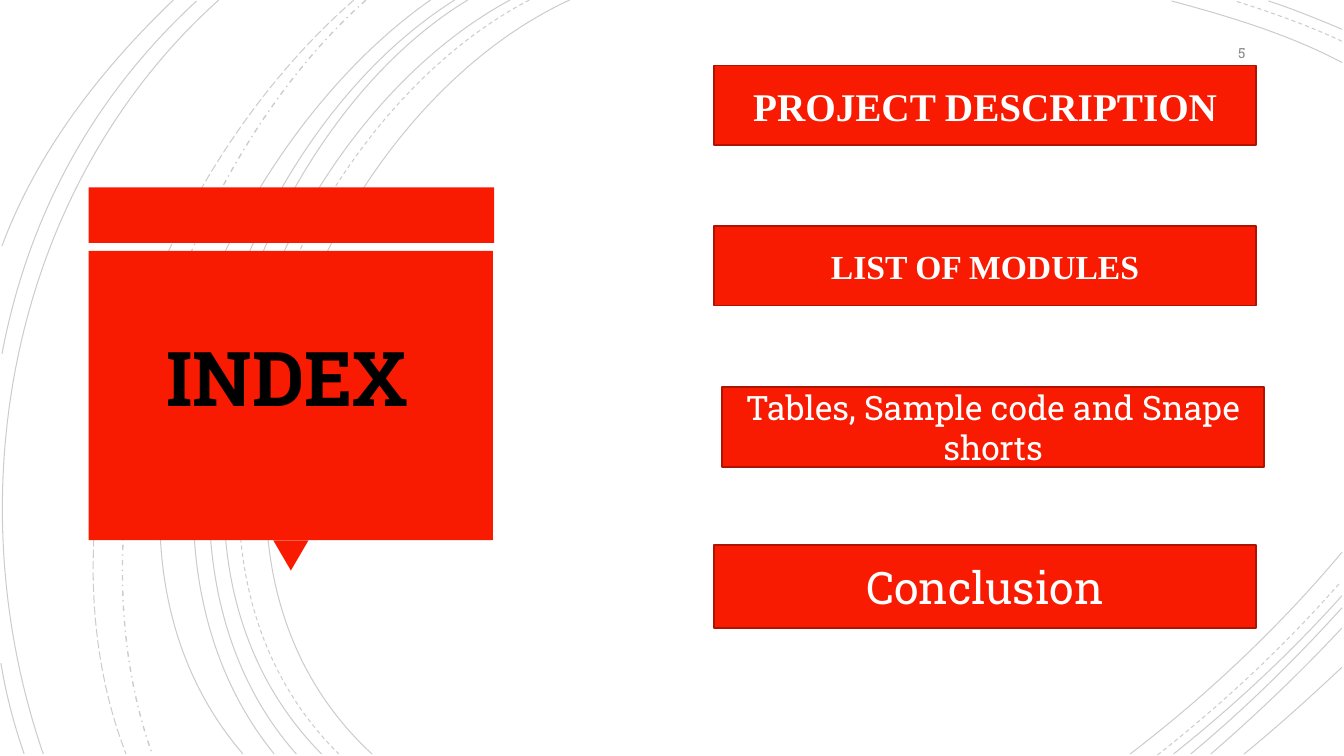
from lxml.etree import SubElement
from pptx import Presentation
from pptx.dml.color import RGBColor
from pptx.enum.dml import MSO_LINE as Dash
from pptx.enum.shapes import MSO_SHAPE as Preset
from pptx.enum.text import MSO_ANCHOR as Anchor, MSO_AUTO_SIZE as AutoSize, PP_ALIGN as Align
from pptx.oxml.ns import qn
from pptx.util import Inches, Pt

THEME = {
    "red": "F81B02", "edge": "AF1301", "white": "FFFFFF", "black": "000000", "grey": "8C8C8C",
    "slab": "Roboto Slab", "serif": "Times New Roman",
    "title": 54, "large": 32, "heading": 28, "body": 24, "number": 10,
    "edge_width": 1.25, "thin": 0.75, "wide_arc": 1, "arc_alpha": 20000,
}

TITLE = "INDEX"
SLIDE_NUMBER = "5"

# text, left, top, height, font, size, bold
TOPICS = [
    ("PROJECT DESCRIPTION", 7.08, 0.65, 0.79, "serif", "heading", True),
    ("LIST OF MODULES", 7.08, 2.24, 0.79, "serif", "body", True),
    ("Tables, Sample code and Snape shorts", 7.16, 3.84, 0.79, "slab", "body", False),
    ("Conclusion", 7.08, 5.41, 0.82, "slab", "large", False),
]
TOPIC_WIDTH = 5.38

# preset, left, top, width, height, rotation
TITLE_PANEL = [
    (Preset.RECTANGLE, 0.88, 1.86, 4.02, 0.55, 0),
    (Preset.ISOSCELES_TRIANGLE, 2.71, 5.36, 0.35, 0.3, 180),
    (Preset.RECTANGLE, 0.88, 2.49, 4.01, 2.87, 0),
]

# start, two control points and end of each arc, by dash style
ARCS = {
    Dash.SOLID: [
        ((5.65, 0), (3.15, 1.15), (1.43, 5.4), (3.69, 7.48)),
        ((13.31, 0.62), (12.78, 0.34), (12.18, 0.16), (11.62, 0.01)),
        ((11.21, 7.48), (11.97, 6.9), (12.69, 6.22), (13.31, 5.48)),
        ((5.06, 0), (2.7, 1.27), (1.1, 5.37), (3.19, 7.48)),
        ((13.31, 0.29), (13.07, 0.19), (12.83, 0.09), (12.58, 0.01)),
        ((11.64, 7.48), (12.23, 7.01), (12.8, 6.48), (13.31, 5.91)),
        ((4.64, 0), (2.44, 1.33), (1.1, 5.41), (2.94, 7.48)),
        ((11.81, 7.48), (12.34, 7.04), (12.84, 6.55), (13.31, 6.03)),
        ((4.51, 0), (2.31, 1.38), (0.97, 5.33), (2.72, 7.48)),
        ((12.01, 7.48), (12.46, 7.09), (12.9, 6.67), (13.31, 6.23)),
        ((4.27, 0), (2.17, 1.47), (0.53, 5.29), (2.41, 7.48)),
        ((12.34, 7.48), (12.67, 7.21), (12.99, 6.92), (13.31, 6.62)),
        ((2.17, 0), (0.11, 1.85), (-0.46, 4.9), (0.43, 7.48)),
        ((1.95, 0.01), (0.92, 0.96), (0.28, 2.14), (0.02, 3.51)),
        ((0.01, 6.58), (0.06, 6.89), (0.14, 7.19), (0.24, 7.48)),
        ((1.72, 0), (1, 0.69), (0.37, 1.5), (0.02, 2.44)),
    ],
    Dash.DASH: [
        ((5.25, 0), (2.85, 1.25), (1.23, 5.37), (3.36, 7.48)),
        ((13.31, 0.41), (12.97, 0.25), (12.6, 0.12), (12.25, 0.01)),
        ((11.48, 7.49), (12.13, 6.98), (12.75, 6.4), (13.3, 5.77)),
    ],
    Dash.DASH_DOT: [((3.63, 0), (1.76, 1.66), (0.65, 5.09), (1.51, 7.48))],
    Dash.LONG_DASH: [((3.51, 0), (1.57, 1.69), (0.29, 4.99), (1.25, 7.48))],
}


def color(name):
    return RGBColor.from_string(THEME[name])


def draw_arc(shapes, arc, dash):
    """Build the control polygon, then turn its three segments into one cubic curve."""
    start, *rest = [tuple(map(Inches, point)) for point in arc]
    builder = shapes.build_freeform(*start)
    builder.add_line_segments(rest, close=False)
    curve = builder.convert_to_shape()
    outline = curve.element.spPr.find(".//" + qn("a:path"))
    bezier = SubElement(outline, qn("a:cubicBezTo"))
    for segment in outline.findall(qn("a:lnTo")):
        bezier.append(segment[0])
        outline.remove(segment)
    curve.shadow.inherit = False
    curve.fill.background()
    curve.line.color.rgb = color("black")
    curve.line.width = Pt(THEME["wide_arc" if dash == Dash.DASH_DOT else "thin"])
    curve.line.dash_style = dash
    ink = curve.element.spPr.find(".//" + qn("a:srgbClr"))
    SubElement(ink, qn("a:alpha"), val=str(THEME["arc_alpha"]))


def add_red(shapes, preset, *box):
    block = shapes.add_shape(preset, *map(Inches, box))
    block.shadow.inherit = False
    block.fill.solid()
    block.fill.fore_color.rgb = color("red")
    block.line.fill.background()
    return block


def write(shape, text, font, size, ink, align=Align.CENTER, bold=False, **frame_format):
    frame = shape.text_frame
    frame_format = {"word_wrap": True, "vertical_anchor": Anchor.MIDDLE, **frame_format}
    for name, value in frame_format.items():
        setattr(frame, name, value)
    paragraph = frame.paragraphs[0]
    paragraph.alignment = align
    run = paragraph.add_run()
    run.text = text
    for name, value in {"name": THEME[font], "size": Pt(THEME[size]), "bold": bold}.items():
        setattr(run.font, name, value)
    run.font.color.rgb = color(ink)


def outline_text(shape, ink, width):
    run_format = shape.element.find(".//" + qn("a:rPr"))
    outline = SubElement(run_format, qn("a:ln"), w=str(Pt(width)))
    SubElement(SubElement(outline, qn("a:solidFill")), qn("a:srgbClr"), val=THEME[ink])
    run_format.insert(0, outline)


def main():
    deck = Presentation()
    deck.slide_width, deck.slide_height = Inches(13.33), Inches(7.5)
    slide = deck.slides.add_slide(deck.slide_layouts[5])
    shapes = slide.shapes

    for dash, arcs in ARCS.items():
        for arc in arcs:
            draw_arc(shapes, arc, dash)

    for preset, *box, rotation in TITLE_PANEL:
        add_red(shapes, preset, *box).rotation = rotation

    for text, left, top, height, font, size, bold in TOPICS:
        topic = add_red(shapes, Preset.RECTANGLE, left, top, TOPIC_WIDTH, height)
        topic.line.color.rgb = color("edge")
        topic.line.width = Pt(THEME["edge_width"])
        write(topic, text, font, size, "white", bold=bold)

    title = shapes.title
    title_box = {"left": 1.45, "top": 3.23, "width": 2.8, "height": 1.01}
    for side, length in title_box.items():
        setattr(title, side, Inches(length))
    write(title, TITLE, "slab", "title", "black", bold=True, word_wrap=False,
          vertical_anchor=Anchor.TOP, auto_size=AutoSize.SHAPE_TO_FIT_TEXT)
    outline_text(title, "white", THEME["thin"])
    shapes.element.append(title.element)  # in front of the red panel

    number = shapes.add_textbox(*map(Inches, (11.45, 0.35, 1, 0.35)))
    write(number, SLIDE_NUMBER, "slab", "number", "grey", align=Align.RIGHT)

    deck.save("out.pptx")


if __name__ == "__main__":
    main()
